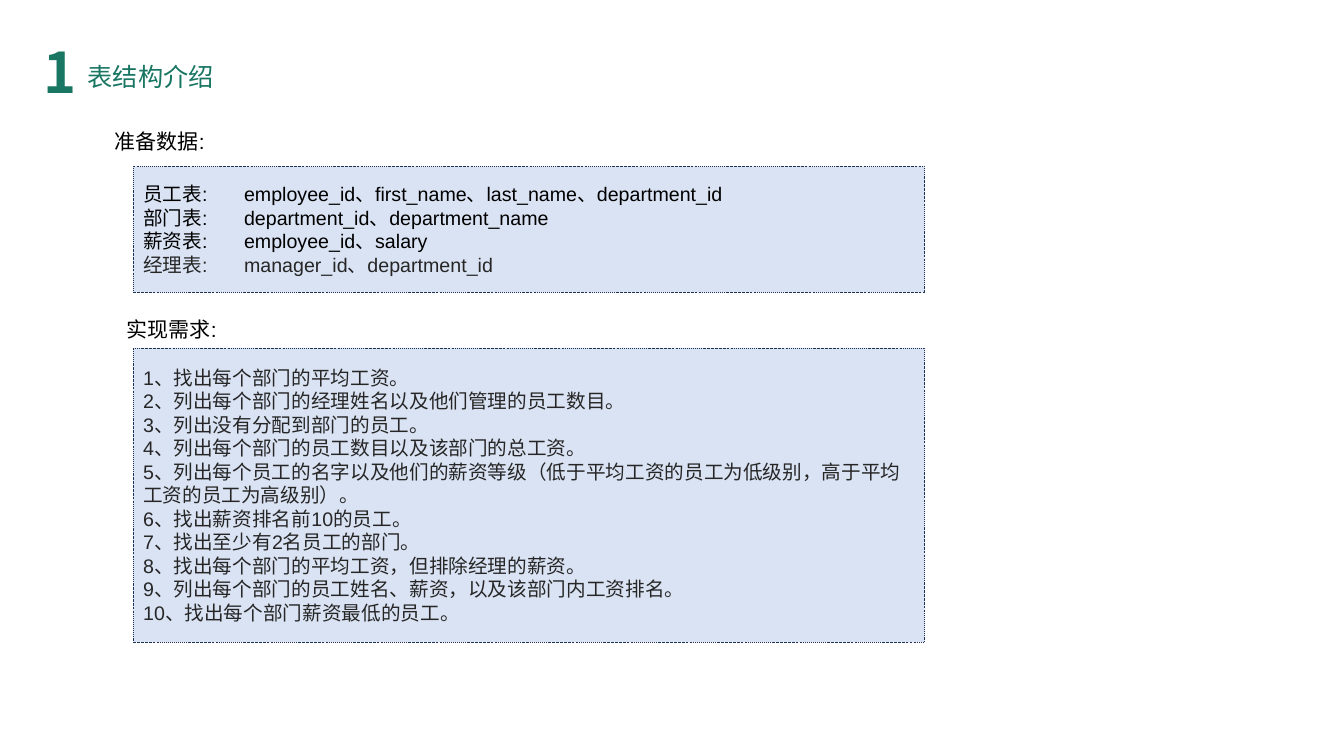
"""Build the table-structure slide: a numbered title and two captioned panels."""
from dataclasses import dataclass

from lxml import etree
from pptx import Presentation
from pptx.dml.color import RGBColor
from pptx.enum.dml import MSO_LINE
from pptx.enum.text import MSO_ANCHOR, MSO_AUTO_SIZE, PP_ALIGN
from pptx.oxml.ns import qn
from pptx.util import Inches, Pt

DASH_DOT = MSO_LINE.DASH_DOT
TOP, MIDDLE = MSO_ANCHOR.TOP, MSO_ANCHOR.MIDDLE
NO_FIT = MSO_AUTO_SIZE.NONE
LEFT = PP_ALIGN.LEFT


@dataclass(frozen=True)
class Theme:
    green: str = "187663"
    black: str = "000000"
    gray: str = "262626"
    panel: str = "DAE3F3"
    border: str = "1E3256"
    latin: str = "Arial"
    cjk: str = "Noto Sans CJK SC"
    number: int = 40
    title: int = 18
    caption: int = 15
    body: int = 14
    border_width: float = 0.25


theme = Theme()
CELL = Inches(0.1)
PANEL_LEFT, PANEL_WIDTH = 13.2, 78.5
TAB = 7.9

TABLES = [
    ("员工表:", ["employee_id", "first_name", "last_name", "department_id"], theme.black),
    ("部门表:", ["department_id", "department_name"], theme.black),
    ("薪资表:", ["employee_id", "salary"], theme.black),
    ("经理表:", ["manager_id", "department_id"], theme.gray),
]
TASKS = [
    "找出每个部门的平均工资。",
    "列出每个部门的经理姓名以及他们管理的员工数目。",
    "列出没有分配到部门的员工。",
    "列出每个部门的员工数目以及该部门的总工资。",
    "列出每个员工的名字以及他们的薪资等级（低于平均工资的员工为低级别，高于平均工资的员工为高级别）。",
    "找出薪资排名前10的员工。",
    "找出至少有2名员工的部门。",
    "找出每个部门的平均工资，但排除经理的薪资。",
    "列出每个部门的员工姓名、薪资，以及该部门内工资排名。",
    "找出每个部门薪资最低的员工。",
]
table_lines = [(f"{name}\t{'、'.join(fields)}", color) for name, fields, color in TABLES]
task_lines = [(f"{i}、{task}", theme.gray) for i, task in enumerate(TASKS, 1)]


def place(sp, col, row, cols, rows):
    """Set a shape's position and size in grid cells."""
    sp.left, sp.top = int(col * CELL), int(row * CELL)
    sp.width, sp.height = int(cols * CELL), int(rows * CELL)


def write(sp, lines, size, font, anchor=TOP, bold=False, wrap=True):
    """Fill a shape with left-aligned lines, each a text and a colour."""
    tf = sp.text_frame
    tf.word_wrap, tf.auto_size, tf.vertical_anchor = wrap, NO_FIT, anchor
    tf.text = "\n".join(text for text, _ in lines)
    for p, (_, color) in zip(tf.paragraphs, lines):
        p.alignment = LEFT
        p.space_before = Pt(0)
        r = p.runs[0]
        r.font.name, r.font.size, r.font.bold = font, Pt(size), bold
        r.font.color.rgb = RGBColor.from_string(color)
        etree.SubElement(r.font._element, qn("a:ea"), typeface=theme.cjk)


prs = Presentation()
prs.slide_width, prs.slide_height = Inches(13.33), Inches(7.5)
s = prs.slides.add_slide(prs.slide_layouts[3])
title, tables, tasks = s.placeholders

place(title, 7.7, 5.6, 27.9, 4)
write(title, [("表结构介绍", theme.green)], theme.title, theme.cjk)

number = s.shapes.add_textbox(0, 0, 0, 0)
place(number, 3.3, 3.2, 4.7, 7.7)
write(number, [("1", theme.green)], theme.number, theme.cjk, bold=True, wrap=False)

for text, col, row, cols in [("准备数据:", 10.4, 12.3, 47.4), ("实现需求:", 11.6, 30.9, 59.8)]:
    caption = s.shapes.add_textbox(0, 0, 0, 0)
    place(caption, col, row, cols, 3.5)
    write(caption, [(text, theme.black)], theme.caption, theme.latin)

for sp, lines, row, rows in [(tables, table_lines, 16.5, 12.5), (tasks, task_lines, 34.5, 29.2)]:
    place(sp, PANEL_LEFT, row, PANEL_WIDTH, rows)
    sp.fill.solid()
    sp.fill.fore_color.rgb = RGBColor.from_string(theme.panel)
    sp.line.color.rgb = RGBColor.from_string(theme.border)
    sp.line.width = Pt(theme.border_width)
    sp.line.dash_style = DASH_DOT
    write(sp, lines, theme.body, theme.latin, anchor=MIDDLE)
    for p in sp.text_frame.paragraphs:
        pPr = p._p.get_or_add_pPr()
        pPr.set("marL", "0")
        pPr.set("indent", "0")
        etree.SubElement(pPr, qn("a:buNone"))
        if "\t" in p.text:
            tabs = etree.SubElement(pPr, qn("a:tabLst"))
            etree.SubElement(tabs, qn("a:tab"), pos=str(int(TAB * CELL)), algn="l")

prs.save("out.pptx")
